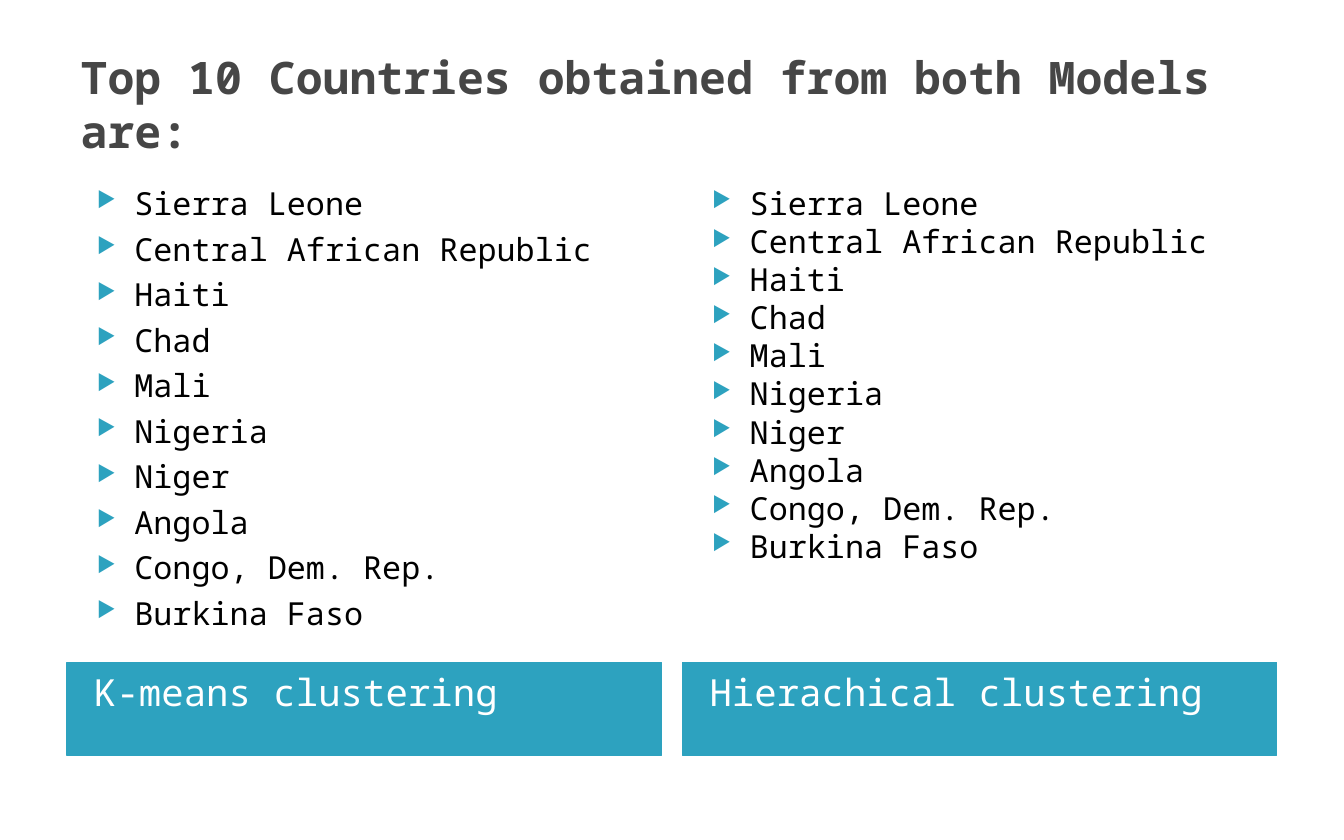
from lxml.etree import SubElement
from pptx import Presentation
from pptx.dml.color import RGBColor
from pptx.enum.shapes import MSO_SHAPE
from pptx.enum.text import MSO_ANCHOR, MSO_AUTO_SIZE, PP_ALIGN
from pptx.oxml.ns import qn
from pptx.util import Cm, Pt

COLORS = {"title": "464646", "accent": "2DA2BF", "text": "000000", "banner_text": "FFFFFF"}
COUNTRIES = [
    "Sierra Leone", "Central African Republic", "Haiti", "Chad", "Mali",
    "Nigeria", "Niger", "Angola", "Congo, Dem. Rep.", "Burkina Faso",
]
# Model name and the space before each country, in points
MODELS = [("K-means clustering", 4), ("Hierachical clustering", 0)]

MARGIN = 1.27
CONTENT_WIDTH = 22.86
GAP = 0.4
COLUMN_WIDTH = (CONTENT_WIDTH - GAP) / 2


class SlideBuilder:
    """Holds the style and the current slide."""

    font_name = "Noto Sans Mono"

    def __init__(self, slide):
        self.slide = slide

    def format_paragraph(self, paragraph, size, color, bold=False):
        paragraph.alignment = PP_ALIGN.LEFT
        for run in paragraph.runs:
            run.font.name = self.font_name
            run.font.size = Pt(size)
            run.font.bold = bold
            run.font.color.rgb = RGBColor.from_string(COLORS[color])

    def add_bullet(self, paragraph):
        """Give the paragraph a hanging indent and a coloured triangle."""
        properties = paragraph._p.get_or_add_pPr()
        properties.set("marL", str(Cm(1.02)))
        properties.set("indent", str(Cm(-0.71)))
        bullet_color = SubElement(properties, qn("a:buClr"))
        SubElement(bullet_color, qn("a:srgbClr"), val=COLORS["accent"])
        SubElement(properties, qn("a:buSzPct"), val="68000")
        SubElement(properties, qn("a:buChar"), char="▶")

    def set_title(self, text, left, top, width, height):
        title = self.slide.shapes.title
        title.left, title.top = Cm(left), Cm(top)
        title.width, title.height = Cm(width), Cm(height)
        text_frame = title.text_frame
        text_frame.text = text
        text_frame.auto_size = MSO_AUTO_SIZE.NONE
        text_frame.vertical_anchor = MSO_ANCHOR.MIDDLE
        self.format_paragraph(text_frame.paragraphs[0], 24, "title", bold=True)

    def add_banner(self, text, left, top, width, height):
        banner = self.slide.shapes.add_shape(
            MSO_SHAPE.RECTANGLE, Cm(left), Cm(top), Cm(width), Cm(height))
        banner.shadow.inherit = False
        accent = RGBColor.from_string(COLORS["accent"])
        banner.fill.solid()
        banner.fill.fore_color.rgb = accent
        banner.line.color.rgb = accent
        banner.line.width = Pt(0.75)
        text_frame = banner.text_frame
        text_frame.text = text
        text_frame.vertical_anchor = MSO_ANCHOR.TOP
        text_frame.margin_left = Cm(0.51)
        self.format_paragraph(text_frame.paragraphs[0], 20, "banner_text")

    def add_bullet_list(self, items, space_before, left, top, width, height):
        text_box = self.slide.shapes.add_textbox(Cm(left), Cm(top), Cm(width), Cm(height))
        text_frame = text_box.text_frame
        text_frame.word_wrap = True
        text_frame.text = "\n".join(items)
        for paragraph in text_frame.paragraphs:
            paragraph.space_before = Pt(space_before)
            self.format_paragraph(paragraph, 17, "text")
            self.add_bullet(paragraph)


def main():
    presentation = Presentation()
    presentation.slide_width = Cm(25.4)
    presentation.slide_height = Cm(15.88)
    title_only = presentation.slide_layouts[5]
    builder = SlideBuilder(presentation.slides.add_slide(title_only))

    builder.set_title("Top 10 Countries obtained from both Models are:",
                      MARGIN, 0.64, CONTENT_WIDTH, 2.64)
    for column, (model, space_before) in enumerate(MODELS):
        left = MARGIN + column * (COLUMN_WIDTH + GAP)
        builder.add_bullet_list(COUNTRIES, space_before, left, 3.35, COLUMN_WIDTH, 9.12)
        builder.add_banner(model, left, 12.52, COLUMN_WIDTH, 1.76)

    presentation.save("out.pptx")


if __name__ == "__main__":
    main()
